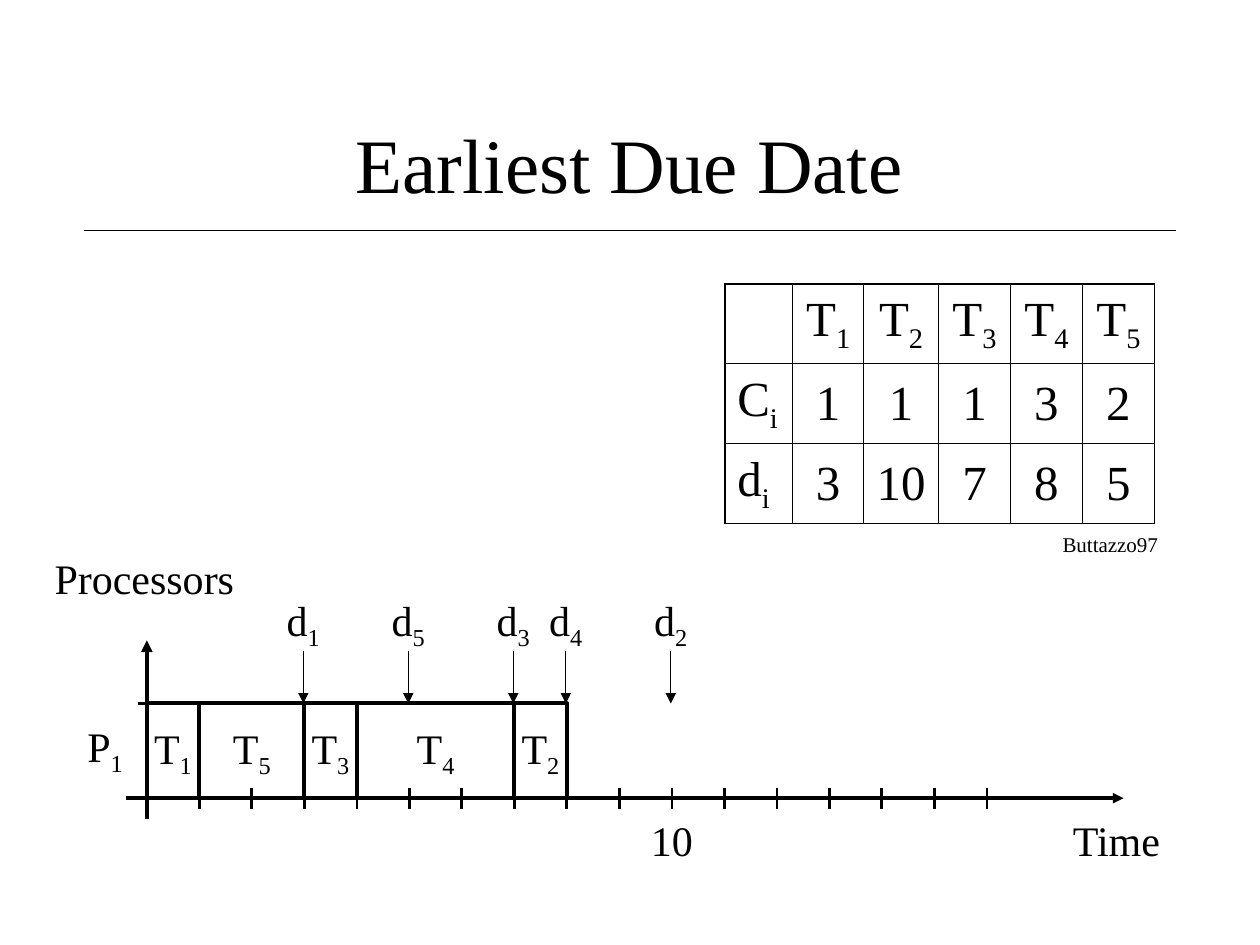
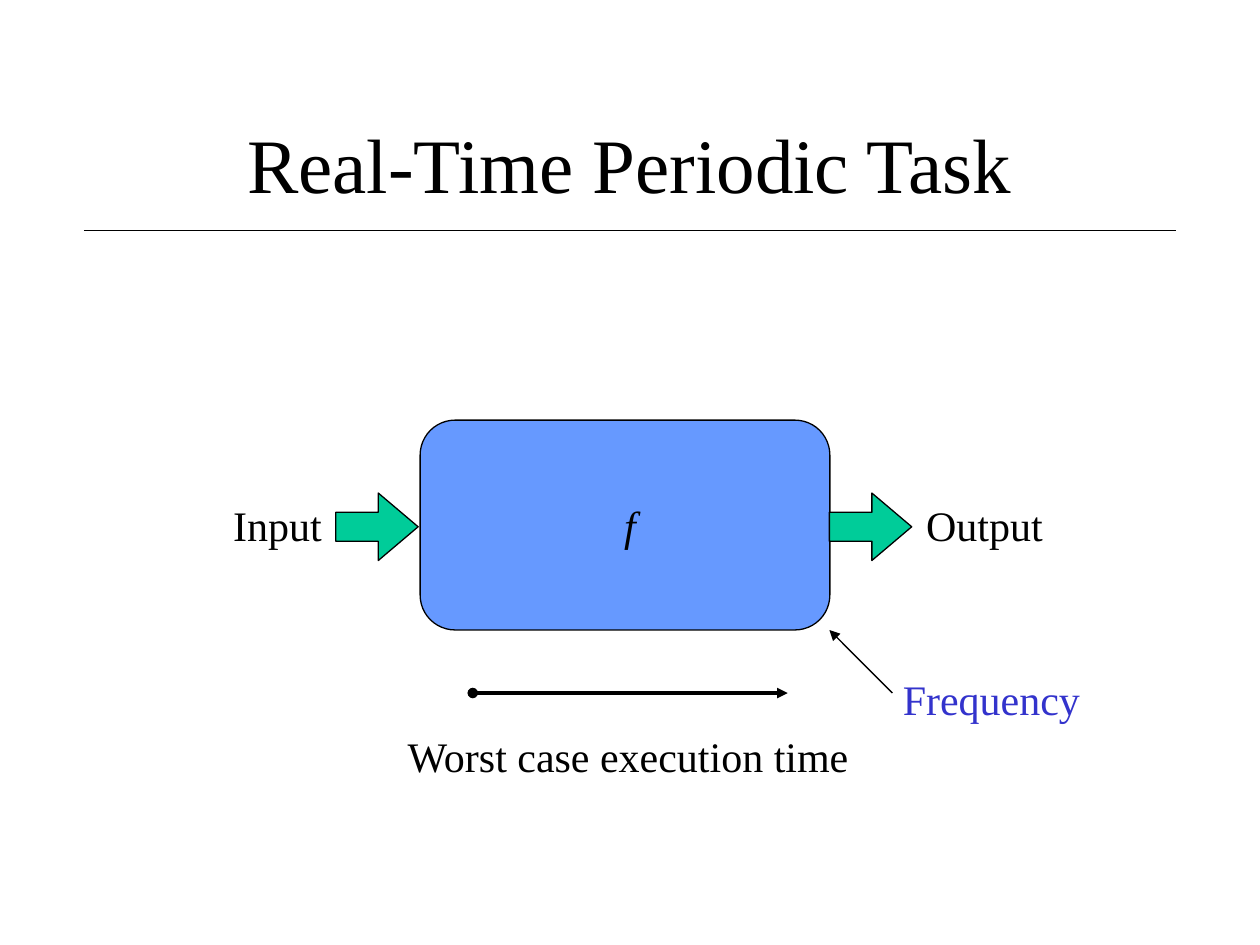
"""Build two slides on real-time scheduling: a due-date schedule and a periodic task."""
from lxml import etree
from pptx import Presentation
from pptx.dml.color import RGBColor
from pptx.enum.shapes import MSO_CONNECTOR, MSO_SHAPE
from pptx.enum.text import MSO_ANCHOR, MSO_AUTO_SIZE, PP_ALIGN
from pptx.oxml.ns import qn
from pptx.util import Cm, Pt

LEFT, CENTER, RIGHT = PP_ALIGN.LEFT, PP_ALIGN.CENTER, PP_ALIGN.RIGHT
TOP, MIDDLE = MSO_ANCHOR.TOP, MSO_ANCHOR.MIDDLE
GROW = MSO_AUTO_SIZE.SHAPE_TO_FIT_TEXT
STRAIGHT = MSO_CONNECTOR.STRAIGHT
RECTANGLE = MSO_SHAPE.RECTANGLE
ROUNDED_BOX = MSO_SHAPE.FLOWCHART_ALTERNATE_PROCESS
RIGHT_ARROW = MSO_SHAPE.RIGHT_ARROW

FONT = "Times New Roman"
BLACK, BLUE, GREEN, INDIGO = "000000", "6699FF", "00CC99", "3333CC"
TITLE_BOX = (1.9, 1.69, 21.59, 3.18)
TITLE_RULE = (1.69, 4.65, 23.71, 4.65)

# An underscore starts a subscript.
TASK_TABLE = [
    ["", "T_1", "T_2", "T_3", "T_4", "T_5"],
    ["C_i", "1", "1", "1", "3", "2"],
    ["d_i", "3", "10", "7", "8", "5"],
]
TABLE_LEFT, TABLE_TOP, ROW_HEIGHT = 14.61, 5.72, 1.61
COLUMN_WIDTHS = [1.37, 1.43, 1.51, 1.45, 1.45, 1.45]
OUTER_BORDER, INNER_BORDER = 1.08, 0.45

EXECUTION_ORDER = [1, 5, 3, 4, 2]
TICK_COUNT = 16
ORIGIN_X, AXIS_Y, TIME_UNIT = 2.96, 16.09, 12.7 / 12
BAR_TOP, BAR_HEIGHT = 14.18, 1.91
TICK_HALF = 0.21
DEADLINE_TOP, DEADLINE_LABEL_TOP, DEADLINE_LABEL_WIDTH = 13.12, 11.85, 1.17
DEADLINE_SHIFT = -0.02

SCHEDULE_LABELS = [
    ("Time", (21.38, 16.3, 2.29, 1.27), {}),
    ("Processors", (0.85, 11.01, 4.13, 1.27), {}),
    ("P_1", (1.51, 14.39, 1.22, 1.42), {}),
    ("10", (12.87, 16.3, 1.35, 1.27), {}),
    ("Buttazzo97", (21.17, 10.59, 2.44, 0.76), {"size": 12}),
]

TASK_BOX = (8.47, 8.47, 8.26, 4.23)
FLOW_ARROWS = [(6.77, 9.94, 1.66, 1.36), (16.72, 9.94, 1.66, 1.36)]
FLOW_ADJUSTMENTS = (0.43, 0.59)
TASK_LABELS = [
    ("f", (11.85, 9.95, 1.7, 1.27), {"align": CENTER, "italic": True, "wrap": True}),
    ("Input", (4.45, 9.95, 2.29, 1.27), {"align": RIGHT}),
    ("Output", (18.42, 9.95, 2.86, 1.27), {}),
    ("Worst case execution time", (7.97, 14.61, 9.46, 1.27), {}),
    ("Frequency", (17.95, 13.46, 4.08, 1.27), {"color": INDIGO}),
]


def rgb(color):
    """Turn a hex string into a colour."""
    return RGBColor.from_string(color)


def lengths(values):
    """Turn numbers of centimetres into lengths."""
    return [Cm(value) for value in values]


def write(frame, text, size=24, color=BLACK, align=LEFT, anchor=TOP, italic=False, wrap=False):
    """Fill a text frame with one paragraph, lowering what follows an underscore."""
    frame.word_wrap = wrap
    frame.vertical_anchor = anchor
    paragraph = frame.paragraphs[0]
    paragraph.alignment = align
    for position, part in enumerate(text.split("_")):
        run = paragraph.add_run()
        run.text = part
        run.font.name = FONT
        run.font.size = Pt(size)
        run.font.italic = italic
        run.font.color.rgb = rgb(color)
        if position:
            run.font._element.set("baseline", "-25000")


def add_label(slide, text, box, **style):
    """Add a text box that grows with its text."""
    frame = slide.shapes.add_textbox(*lengths(box)).text_frame
    write(frame, text, **style)
    frame.auto_size = GROW


def add_outlined(slide, kind, box, fill=None, width=0.75):
    """Add a preset shape with a black outline and an optional fill."""
    shape = slide.shapes.add_shape(kind, *lengths(box))
    shape.shadow.inherit = False
    shape.line.color.rgb = rgb(BLACK)
    shape.line.width = Pt(width)
    if fill:
        shape.fill.solid()
        shape.fill.fore_color.rgb = rgb(fill)
    else:
        shape.fill.background()
    return shape


def add_line(slide, ends, width=0.75, head=None, tail=None):
    """Add a straight black line with optional end marks."""
    connector = slide.shapes.add_connector(STRAIGHT, *lengths(ends))
    connector.line.color.rgb = rgb(BLACK)
    connector.line.width = Pt(width)
    properties = connector._element.spPr
    for tag, mark in (("a:headEnd", head), ("a:tailEnd", tail)):
        if mark:
            etree.SubElement(properties.find(qn("a:ln")), qn(tag), type=mark)
    etree.SubElement(properties, qn("a:effectLst"))


def add_titled_slide(presentation, title):
    """Add a slide with its title and the rule below it."""
    slide = presentation.slides.add_slide(presentation.slide_layouts[5])
    placeholder = slide.shapes.title
    placeholder.left, placeholder.top, placeholder.width, placeholder.height = lengths(TITLE_BOX)
    write(placeholder.text_frame, title, size=44, align=CENTER, anchor=MIDDLE, wrap=True)
    add_line(slide, TITLE_RULE)
    return slide


def set_borders(cell, widths):
    """Draw the borders of a cell, given a width for each side."""
    properties = cell._tc.get_or_add_tcPr()
    for side, width in widths.items():
        line = etree.SubElement(properties, qn(f"a:ln{side}"), w=str(Pt(width)))
        fill = etree.SubElement(line, qn("a:solidFill"))
        etree.SubElement(fill, qn("a:srgbClr"), val=BLACK)


def add_task_table(slide):
    """Add the table of computation times and deadlines."""
    row_count, column_count = len(TASK_TABLE), len(TASK_TABLE[0])
    box = (TABLE_LEFT, TABLE_TOP, sum(COLUMN_WIDTHS), ROW_HEIGHT * row_count)
    table = slide.shapes.add_table(row_count, column_count, *lengths(box)).table
    table.first_row = table.horz_banding = False
    for column, width in zip(table.columns, COLUMN_WIDTHS):
        column.width = Cm(width)
    for row, values in enumerate(TASK_TABLE):
        table.rows[row].height = Cm(ROW_HEIGHT)
        for column, text in enumerate(values):
            cell = table.cell(row, column)
            on_edge = {"L": column == 0, "R": column == column_count - 1,
                       "T": row == 0, "B": row == row_count - 1}
            set_borders(cell, {side: OUTER_BORDER if edge else INNER_BORDER
                               for side, edge in on_edge.items()})
            cell.fill.background()
            cell.vertical_anchor = MIDDLE
            if text:
                write(cell.text_frame, text, size=28, anchor=MIDDLE, wrap=True,
                      align=CENTER if column else LEFT)


def time_x(time):
    """Give the horizontal place of a point in time."""
    return ORIGIN_X + time * TIME_UNIT


def build_schedule_slide(presentation):
    """Show the tasks in order of their deadlines on a time axis."""
    slide = add_titled_slide(presentation, "Earliest Due Date")
    add_task_table(slide)
    add_line(slide, (2.54, AXIS_Y, 22.65, AXIS_Y), width=2, tail="triangle")
    add_line(slide, (ORIGIN_X, 16.51, ORIGIN_X, 12.91), width=2.25, tail="triangle")
    add_line(slide, (ORIGIN_X - 0.17, BAR_TOP, ORIGIN_X + 0.26, BAR_TOP), width=1.5)
    for tick in range(1, TICK_COUNT + 1):
        x = time_x(tick)
        add_line(slide, (x, AXIS_Y - TICK_HALF, x, AXIS_Y + TICK_HALF), width=1.5)

    names, durations, deadlines = TASK_TABLE
    start = 0
    for task in EXECUTION_ORDER:
        duration = int(durations[task])
        box = (time_x(start), BAR_TOP, duration * TIME_UNIT, BAR_HEIGHT)
        bar = add_outlined(slide, RECTANGLE, box, width=2.25)
        write(bar.text_frame, names[task], align=CENTER, anchor=MIDDLE)
        start += duration

        x = time_x(int(deadlines[task])) + DEADLINE_SHIFT
        add_line(slide, (x, DEADLINE_TOP, x, BAR_TOP), tail="triangle")
        label_box = (x - DEADLINE_LABEL_WIDTH / 2, DEADLINE_LABEL_TOP, DEADLINE_LABEL_WIDTH, 1.42)
        add_label(slide, f"d_{task}", label_box, align=CENTER)
    for text, box, style in SCHEDULE_LABELS:
        add_label(slide, text, box, **style)


def build_task_slide(presentation):
    """Show a periodic task with its input, output and timing."""
    slide = add_titled_slide(presentation, "Real-Time Periodic Task")
    add_outlined(slide, ROUNDED_BOX, TASK_BOX, fill=BLUE)
    for box in FLOW_ARROWS:
        arrow = add_outlined(slide, RIGHT_ARROW, box, fill=GREEN)
        for position, value in enumerate(FLOW_ADJUSTMENTS):
            arrow.adjustments[position] = value
    add_line(slide, (9.53, 13.97, 15.88, 13.97), width=2, head="oval", tail="triangle")
    add_line(slide, (17.99, 13.97, 16.72, 12.7), tail="triangle")
    for text, box, style in TASK_LABELS:
        add_label(slide, text, box, **style)


def main():
    """Build and save the presentation."""
    presentation = Presentation()
    presentation.slide_width, presentation.slide_height = Cm(25.4), Cm(19.05)
    build_schedule_slide(presentation)
    build_task_slide(presentation)
    presentation.save("out.pptx")


if __name__ == "__main__":
    main()
